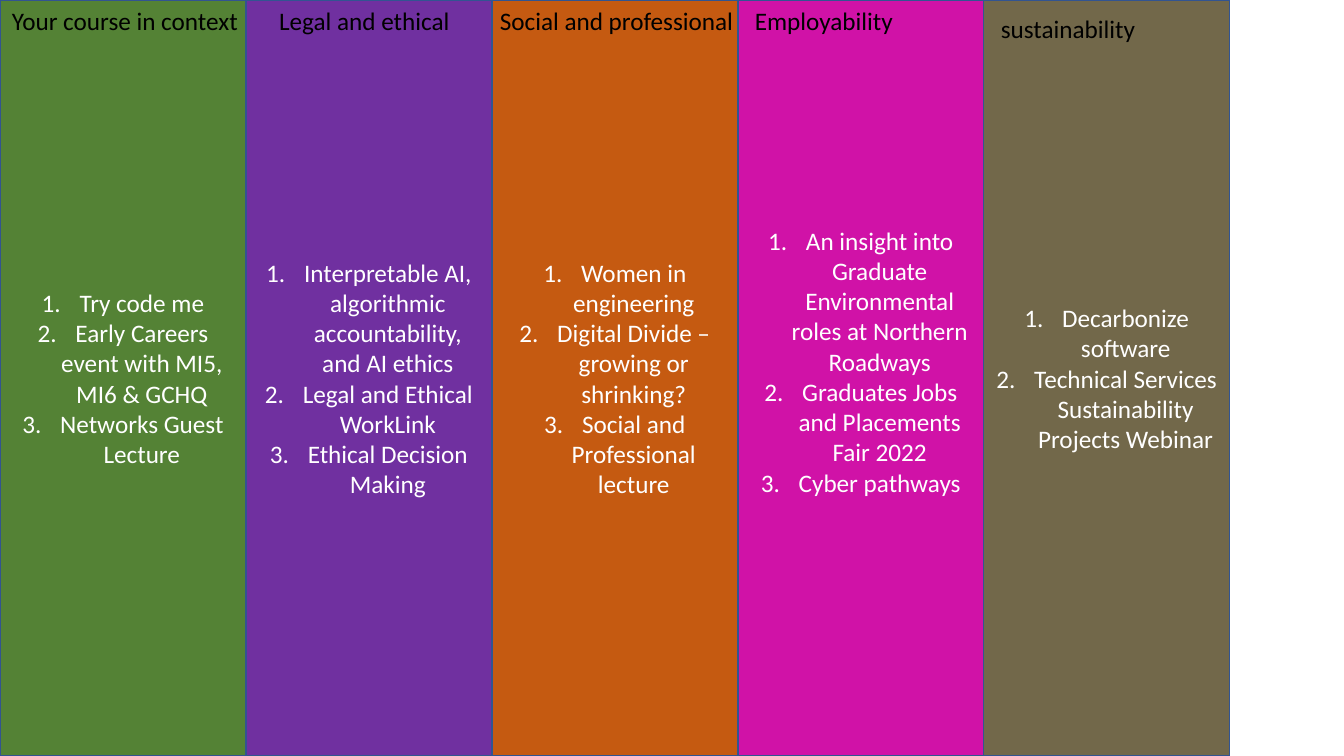
import pptx
import pptx.util
import pptx.dml.color
import pptx.enum.shapes
import pptx.enum.text
import lxml.etree

Pt = pptx.util.Pt
WIDE, HIGH = 960, 540
STEP = 175.68
INDENT = 27

THEMES = [
    ("548235", "Your course in context", (1.44, 0, 188, 29),
     ["Try code me", "Early Careers event with MI5, MI6 & GCHQ",
      "Networks Guest Lecture"]),
    ("7030A0", "Legal and ethical", (192.24, 0, 148, 29),
     ["Interpretable AI, algorithmic accountability, and AI ethics",
      "Legal and Ethical WorkLink", "Ethical Decision Making"]),
    ("C55A11", "Social and professional", (349.92, 0, 215, 29),
     ["Women in engineering", "Digital Divide – growing or shrinking?",
      "Social and Professional lecture"]),
    ("D012A7", "Employability", (532.08, 0, 157, 29),
     ["An insight into Graduate Environmental roles at Northern Roadways",
      "Graduates Jobs and Placements Fair 2022", "Cyber pathways"]),
    ("72684A", "sustainability", (707.76, 5.76, 157, 30),
     ["Decarbonize software",
      "Technical Services Sustainability Projects Webinar"]),
]
LIFTS = {"Employability": 24}


def paint(color, code):
    """Set a colour format from a hex string."""
    color.rgb = pptx.dml.color.RGBColor.from_string(code)


def style(para, code):
    """Give a paragraph the slide's font in one colour."""
    para.font.name = "Calibri"
    para.font.size = Pt(18)
    paint(para.font.color, code)


def number(para):
    """Turn a paragraph into a numbered item with a hanging indent."""
    props = para._p.get_or_add_pPr()
    props.set("marL", str(Pt(INDENT)))
    props.set("indent", str(-Pt(INDENT)))
    tag = pptx.oxml.ns.qn("a:buAutoNum")
    lxml.etree.SubElement(props, tag, type="arabicPeriod")


def column(slide, left, fill, items, lift):
    """Draw a full-height column with its numbered list."""
    kind = pptx.enum.shapes.MSO_SHAPE.RECTANGLE
    shape = slide.shapes.add_shape(kind, Pt(left), 0, Pt(STEP), Pt(HIGH))
    shape.shadow.inherit = False
    shape.fill.solid()
    paint(shape.fill.fore_color, fill)
    paint(shape.line.color, "325491")
    shape.line.width = Pt(1)
    frame = shape.text_frame
    frame.word_wrap = True
    frame.vertical_anchor = pptx.enum.text.MSO_ANCHOR.MIDDLE
    frame.margin_bottom = Pt(3.6 + lift)
    frame.text = "\n".join(items)
    for para in frame.paragraphs:
        para.alignment = pptx.enum.text.PP_ALIGN.CENTER
        style(para, "FFFFFF")
        number(para)


def heading(slide, text, box):
    """Write a column's heading in a text box."""
    frame = slide.shapes.add_textbox(*map(Pt, box)).text_frame
    frame.word_wrap = True
    frame.text = text
    style(frame.paragraphs[0], "000000")


def main():
    """Build and save the slide."""
    deck = pptx.Presentation()
    deck.slide_width, deck.slide_height = Pt(WIDE), Pt(HIGH)
    slide = deck.slides.add_slide(deck.slide_layouts[6])
    for place, (fill, title, box, items) in enumerate(THEMES):
        column(slide, place * STEP, fill, items, LIFTS.get(title, 0))
    for fill, title, box, items in THEMES:
        heading(slide, title, box)
    deck.save("out.pptx")


if __name__ == "__main__":
    main()
